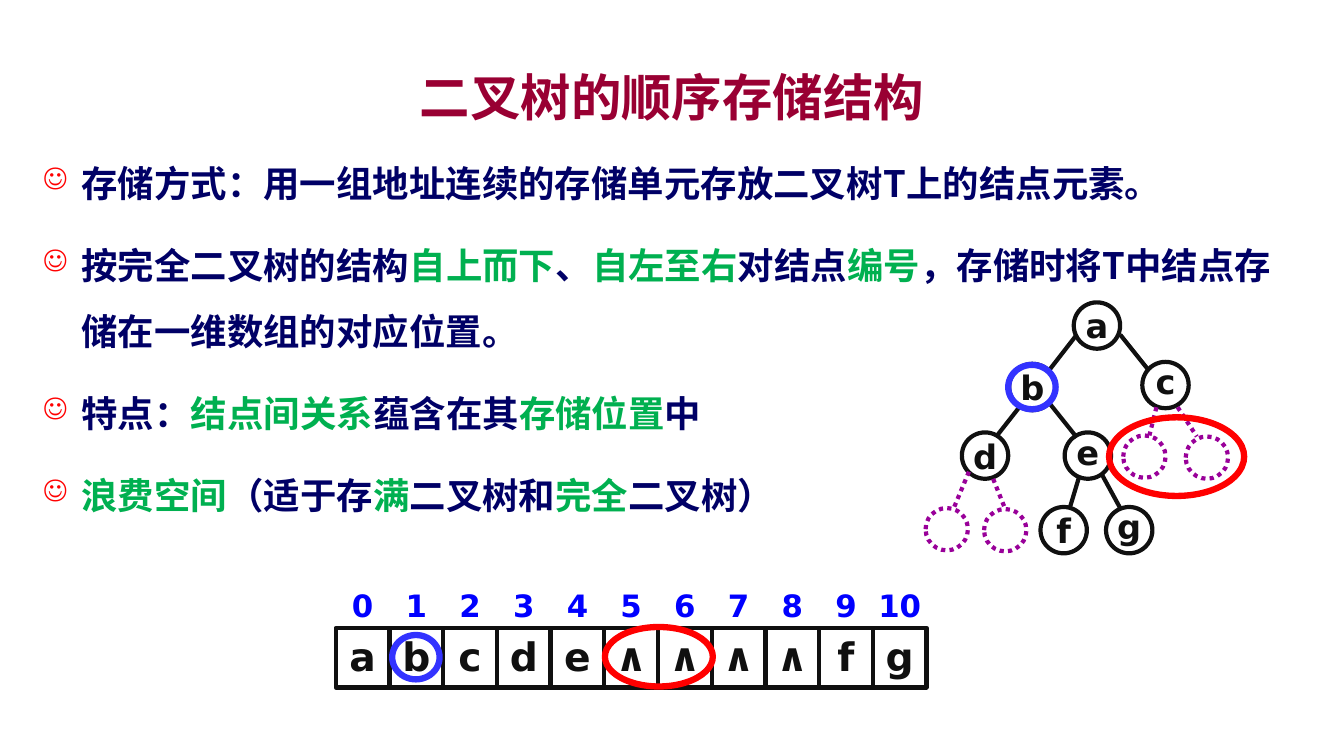
import pptx
import pptx.dml.color
import pptx.enum.dml
import pptx.enum.shapes
import pptx.enum.text
import pptx.oxml
import pptx.oxml.ns
import pptx.util
from lxml import etree

Inches, Pt = pptx.util.Inches, pptx.util.Pt
RGBColor = pptx.dml.color.RGBColor
Anchor = pptx.enum.text.MSO_ANCHOR
Align = pptx.enum.text.PP_ALIGN
Shape = pptx.enum.shapes.MSO_SHAPE
qn = pptx.oxml.ns.qn

MAROON = RGBColor(0x99, 0x00, 0x33)
NAVY = RGBColor(0x00, 0x00, 0x66)
GREEN = RGBColor(0x00, 0xB0, 0x50)
BLACK = RGBColor(0x10, 0x10, 0x10)
PURPLE = RGBColor(0x99, 0x00, 0x99)
RED = RGBColor(0xFF, 0x00, 0x00)
RING_BLUE = RGBColor(0x33, 0x33, 0xFF)
INDEX_BLUE = RGBColor(0x00, 0x00, 0xFF)
CJK_FONT, LATIN_FONT = "Noto Sans CJK SC", "DejaVu Sans"

# Content: pieces between bars alternate plain and highlighted
TITLE = "二叉树的顺序存储结构"
POINTS = [
    "存储方式：用一组地址连续的存储单元存放二叉树T上的结点元素。",
    "按完全二叉树的结构|自上而下|、|自左至右|对结点|编号|，存储时将T中结点存储在一维数组的对应位置。",
    "特点：|结点间关系|蕴含在其|存储位置|中",
    "|浪费空间|（适于存|满|二叉树和|完全|二叉树）",
]
ARRAY = ["a", "b", "c", "d", "e", "∧", "∧", "∧", "∧", "f", "g"]

# Tree: label, left, top, text anchor
NODES = [
    ("a", 10.65, 3.00, Anchor.MIDDLE), ("b", 10.01, 3.61, Anchor.MIDDLE),
    ("c", 11.33, 3.59, Anchor.BOTTOM), ("d", 9.54, 4.29, Anchor.MIDDLE),
    ("e", 10.56, 4.29, Anchor.BOTTOM), ("f", 10.32, 5.03, Anchor.MIDDLE),
    ("g", 10.97, 5.03, Anchor.BOTTOM),
]
MISSING_NODES = [(11.14, 4.32), (11.76, 4.33), (9.18, 5.04), (9.76, 5.05)]
EDGES = [  # x1, y1, x2, y2
    (10.68, 3.32, 10.40, 3.68), (11.11, 3.32, 11.39, 3.67),
    (10.11, 4.04, 9.89, 4.32), (10.40, 3.99, 10.68, 4.34),
    (10.70, 4.74, 10.61, 5.04), (10.93, 4.71, 11.11, 5.04),
]
MISSING_EDGES = [
    (9.61, 4.68, 9.46, 5.04), (9.85, 4.75, 9.97, 5.05),
    (11.47, 4.04, 11.40, 4.32), (11.68, 4.04, 11.87, 4.33),
]
NODE_SIZE, MISSING_SIZE = 0.46, 0.42
ARRAY_LEFT, ARRAY_TOP, ARRAY_WIDTH, ARRAY_HEIGHT = 3.33, 6.23, 5.86, 0.59
INDEX_TOP, INDEX_HEIGHT = 5.81, 0.38


def write(paragraph, text, size, color, font=CJK_FONT, align=Align.CENTER):
    paragraph.alignment = align
    for i, piece in enumerate(text.split("|")):
        if not piece:
            continue
        run = paragraph.add_run()
        run.text = piece
        run.font.size, run.font.bold = Pt(size), True
        run.font.color.rgb = GREEN if i % 2 else color
        run.font.name = font
        east_asian = etree.SubElement(run.font._element, qn("a:ea"))
        east_asian.set("typeface", font)


def label(frame, text, size, color, anchor=Anchor.MIDDLE):
    frame.margin_left = frame.margin_right = 0
    frame.margin_top = frame.margin_bottom = 0
    frame.word_wrap = False
    frame.vertical_anchor = anchor
    write(frame.paragraphs[0], text, size, color, font=LATIN_FONT)


def style_line(line, color, weight, dotted):
    line.color.rgb = color
    line.width = Pt(weight)
    if dotted:
        line.dash_style = pptx.enum.dml.MSO_LINE.ROUND_DOT


def outline(group, kind, box, color, weight=3, dotted=False):
    shape = group.shapes.add_shape(kind, *map(Inches, box))
    shape.shadow.inherit = False
    shape.fill.background()
    style_line(shape.line, color, weight, dotted)
    return shape


def segment(group, ends, color, dotted=False):
    connector = group.shapes.add_connector(
        pptx.enum.shapes.MSO_CONNECTOR.STRAIGHT, *map(Inches, ends))
    style_line(connector.line, color, 3, dotted)
    etree.SubElement(connector._element.spPr, qn("a:effectLst"))


def add_bullet(paragraph):
    properties = paragraph._p.get_or_add_pPr()
    properties.set("marL", str(Inches(0.38)))
    properties.set("indent", str(-Inches(0.38)))
    color = etree.SubElement(properties, qn("a:buClr"))
    etree.SubElement(color, qn("a:srgbClr")).set("val", str(RED))
    etree.SubElement(properties, qn("a:buSzPct")).set("val", "80000")
    etree.SubElement(properties, qn("a:buChar")).set("char", "☺")


def add_points(slide):
    points = slide.shapes.add_textbox(
        Inches(0.33), Inches(1.33), Inches(12.67), Inches(3.92)).text_frame
    points.word_wrap = True
    for i, point in enumerate(POINTS):
        paragraph = points.add_paragraph() if i else points.paragraphs[0]
        add_bullet(paragraph)
        paragraph.line_spacing = 1.5
        paragraph.space_before = Pt(6 if i else 0)
        paragraph.space_after = Pt(6)
        write(paragraph, point, 26, NAVY, align=Align.LEFT)


def add_tree(slide):
    tree = slide.shapes.add_group_shape()
    for name, left, top, anchor in NODES:
        node = outline(tree, Shape.OVAL, (left, top, NODE_SIZE, NODE_SIZE), BLACK)
        label(node.text_frame, name, 24, BLACK, anchor)
    for left, top in MISSING_NODES:
        outline(tree, Shape.OVAL, (left, top, MISSING_SIZE, MISSING_SIZE),
                PURPLE, dotted=True)
    for ends in EDGES:
        segment(tree, ends, BLACK)
    for ends in MISSING_EDGES:
        segment(tree, ends, PURPLE, dotted=True)
    # Rings around the missing children of c and around b
    outline(tree, Shape.OVAL, (11, 4.14, 1.34, 0.78), RED, 4.5)
    outline(tree, Shape.OVAL, (10, 3.62, 0.47, 0.44), RING_BLUE, 4.5)


def add_array(slide):
    array = slide.shapes.add_group_shape()
    outline(array, Shape.RECTANGLE,
            (ARRAY_LEFT, ARRAY_TOP, ARRAY_WIDTH, ARRAY_HEIGHT), BLACK)
    cell = ARRAY_WIDTH / len(ARRAY)
    for index, value in enumerate(ARRAY):
        left = ARRAY_LEFT + index * cell
        if index:
            segment(array, (left, ARRAY_TOP, left, ARRAY_TOP + ARRAY_HEIGHT), BLACK)
        for text, top, height, size, color in (
                (value, ARRAY_TOP, 0.56, 28, BLACK),
                (str(index), INDEX_TOP, INDEX_HEIGHT, 22, INDEX_BLUE)):
            box = array.shapes.add_textbox(*map(Inches, (left, top, cell, height)))
            label(box.text_frame, text, size, color)
    # Rings around the two empty cells and around b
    outline(array, Shape.OVAL, (6, 6.22, 1.07, 0.59), RED, 4.5)
    outline(array, Shape.OVAL, (3.89, 6.3, 0.47, 0.44), RING_BLUE, 4.5)


def main():
    deck = pptx.Presentation()
    deck.slide_width, deck.slide_height = Inches(13.33), Inches(7.5)
    slide = deck.slides.add_slide(deck.slide_layouts[5])

    title = slide.shapes.title
    title.left, title.top = Inches(1), Inches(0.58)
    title.width, title.height = Inches(11.33), Inches(0.75)
    title.text_frame.vertical_anchor = Anchor.MIDDLE
    write(title.text_frame.paragraphs[0], TITLE, 36, MAROON)

    add_points(slide)
    add_tree(slide)
    add_array(slide)
    deck.save("out.pptx")


if __name__ == "__main__":
    main()
